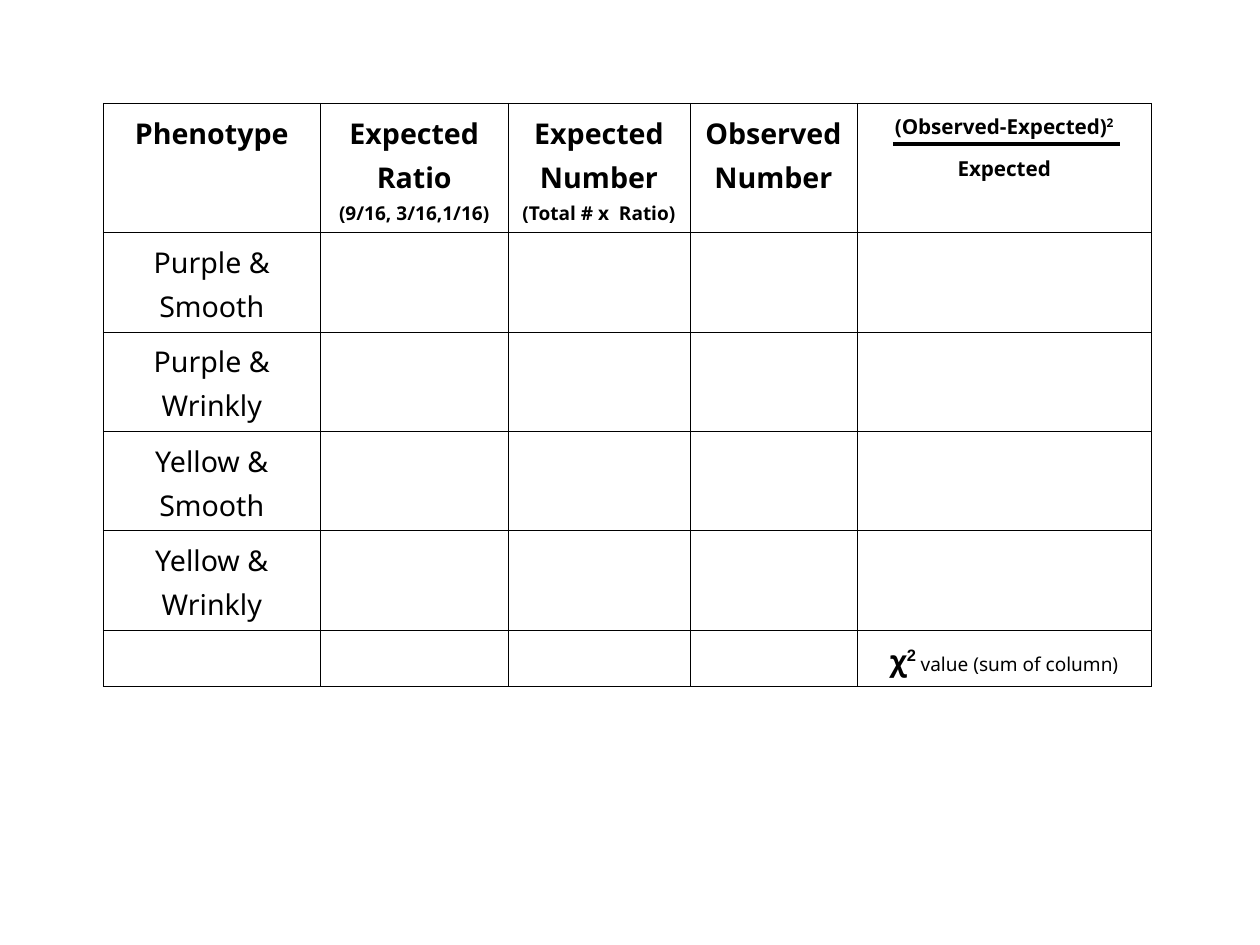
from dataclasses import dataclass

from lxml.etree import SubElement
from pptx import Presentation
from pptx.dml.color import RGBColor
from pptx.enum.shapes import MSO_CONNECTOR
from pptx.enum.text import MSO_ANCHOR, PP_ALIGN
from pptx.oxml import parse_xml
from pptx.oxml.ns import nsdecls, qn
from pptx.util import Cm, Pt


@dataclass(frozen=True)
class Theme:
    ink: str = "000000"
    paper: str = "FFFFFF"
    font: str = "Noto Sans"
    symbol_font: str = "Arial"
    large: float = 18
    formula: float = 13
    small: float = 12
    line_spacing: float = 1.13
    border: float = 0.06
    fraction_bar: float = 3


@dataclass(frozen=True)
class Run:
    text: str
    size: float
    bold: bool = False
    raised: bool = False
    font: str = Theme.font


T = Theme()
COLUMNS = [4.83, 4.17, 4.04, 3.71, 6.55]
ROWS = [2.87] + [2.21] * 4 + [1.24]
PHENOTYPES = [f"{colour} & {texture}"
              for colour in ("Purple", "Yellow")
              for texture in ("Smooth", "Wrinkly")]
HEADINGS = [
    ("Phenotype", ""),
    ("Expected Ratio", "(9/16, 3/16,1/16)"),
    ("Expected Number", "(Total # x  Ratio)"),
    ("Observed Number", ""),
]


def add_run(p, run):
    r = p.add_run()
    r.text = run.text
    r.font.name = run.font
    r.font.size = Pt(run.size)
    r.font.bold = run.bold
    r.font.color.rgb = RGBColor.from_string(T.ink)
    if run.raised:
        r._r.get_or_add_rPr().set("baseline", "33000")


def write(cell, *paragraphs, gap=0):
    """Fill a cell with lists of runs, with gap points between paragraphs."""
    tf = cell.text_frame
    for i, runs in enumerate(paragraphs):
        p = tf.add_paragraph() if i else tf.paragraphs[0]
        p.alignment = PP_ALIGN.CENTER
        p.line_spacing = T.line_spacing
        p.space_before = Pt(gap if i else 0)
        for run in runs:
            add_run(p, run)


def style_cell(cell):
    cell.fill.solid()
    cell.fill.fore_color.rgb = RGBColor.from_string(T.paper)
    tcPr = cell._tc.get_or_add_tcPr()
    for i, side in enumerate("LRTB"):
        tcPr.insert(i, parse_xml(
            f'<a:ln{side} {nsdecls("a")} w="{Pt(T.border)}"><a:solidFill>'
            f'<a:srgbClr val="{T.ink}"/></a:solidFill></a:ln{side}>'))


def add_chi_square_table(slide, left, top):
    table = slide.shapes.add_table(
        len(ROWS), len(COLUMNS), Cm(left), Cm(top),
        Cm(sum(COLUMNS)), Cm(sum(ROWS))).table
    table.first_row = table.horz_banding = False
    for column, width in zip(table.columns, COLUMNS):
        column.width = Cm(width)
    for row, height in zip(table.rows, ROWS):
        row.height = Cm(height)
    for cell in table.iter_cells():
        style_cell(cell)

    for i, (heading, hint) in enumerate(HEADINGS):
        lines = [[Run(heading, T.large, bold=True)]]
        if hint:
            lines.append([Run(hint, T.small, bold=True)])
        write(table.cell(0, i), *lines)
    write(table.cell(0, 4),
          [Run("(Observed-Expected)", T.formula, bold=True),
           Run("2", T.formula, bold=True, raised=True)],
          [Run("Expected", T.formula, bold=True)], gap=7)
    for i, phenotype in enumerate(PHENOTYPES, start=1):
        write(table.cell(i, 0), [Run(phenotype, T.large)])

    total = table.cell(len(ROWS) - 1, 4)
    total.vertical_anchor = MSO_ANCHOR.MIDDLE
    write(total, [Run("χ", T.large, bold=True),
                  Run("2 ", T.large, bold=True, raised=True,
                      font=T.symbol_font),
                  Run("value (sum of column)", T.small)])


def add_fraction_bar(slide, left, top, length):
    bar = slide.shapes.add_connector(
        MSO_CONNECTOR.STRAIGHT, Cm(left), Cm(top), Cm(left + length), Cm(top))
    bar.line.color.rgb = RGBColor.from_string(T.ink)
    bar.line.width = Pt(T.fraction_bar)
    SubElement(bar._element.spPr, qn("a:effectLst"))


def main():
    prs = Presentation()
    prs.slide_width, prs.slide_height = Cm(28), Cm(21)
    slide = prs.slides.add_slide(prs.slide_layouts[6])
    left, top = 2.29, 2.29
    add_chi_square_table(slide, left, top)
    add_fraction_bar(slide, left + sum(COLUMNS[:4]) + 0.8, top + 0.91, 5.05)
    prs.save("out.pptx")


if __name__ == "__main__":
    main()
